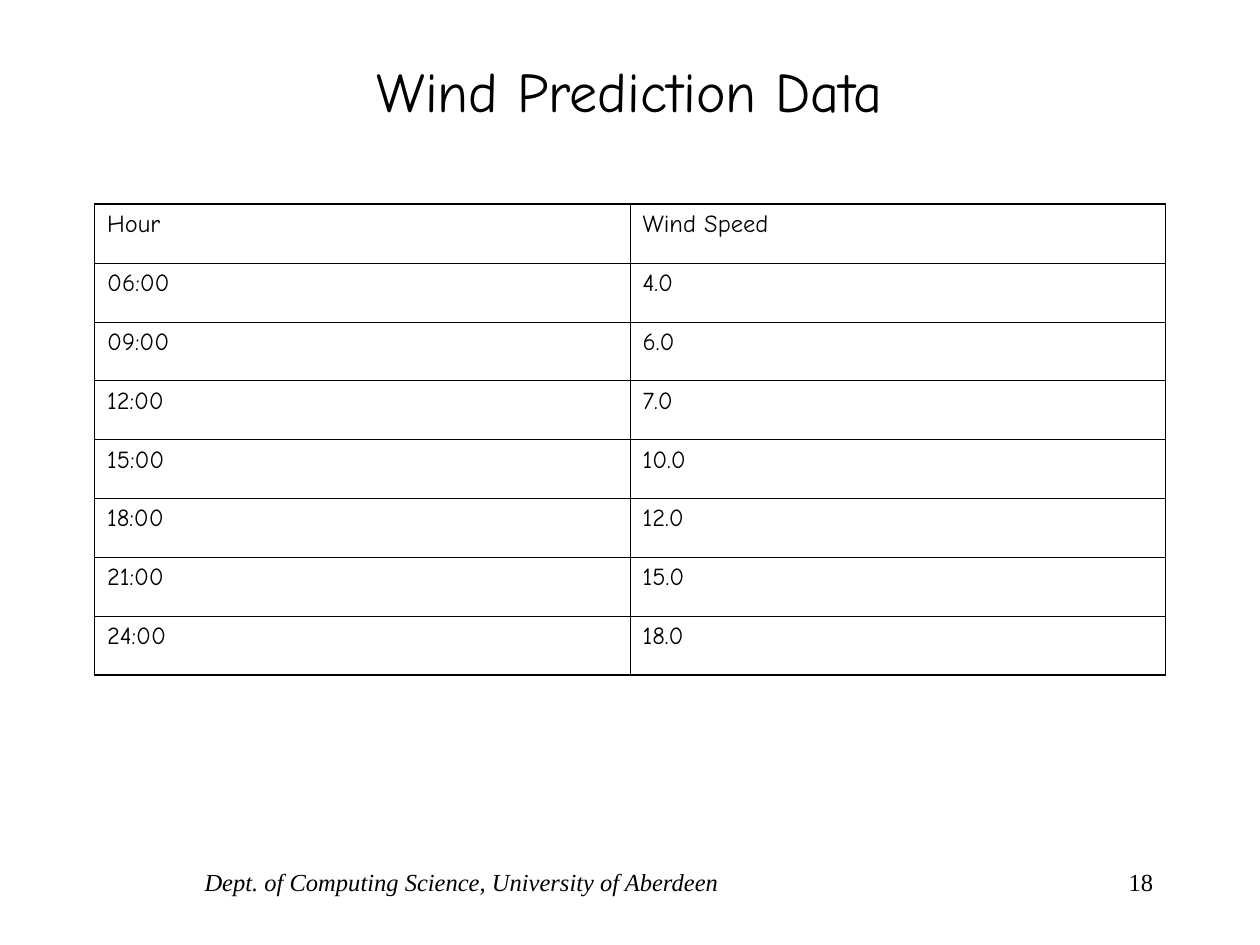
import dataclasses

import lxml.etree
import pptx
import pptx.dml.color
import pptx.enum.text
import pptx.oxml.ns
import pptx.util

Inches = pptx.util.Inches
Pt = pptx.util.Pt
Align = pptx.enum.text.PP_ALIGN
Anchor = pptx.enum.text.MSO_ANCHOR


@dataclasses.dataclass(frozen=True)
class Theme:
    """Colours, fonts and sizes of the slide."""

    ink: str = "000000"
    paper: str = "FFFFFF"
    display_font: str = "Comic Neue"
    footer_font: str = "Times New Roman"
    title_size: float = 32
    text_size: float = 14
    cell_space: float = 3.5
    outer_line: float = 1.08
    inner_line: float = 0.45


THEME = Theme()

WIND_SPEEDS = [
    ("Hour", "Wind Speed"),
    ("06:00", "4.0"),
    ("09:00", "6.0"),
    ("12:00", "7.0"),
    ("15:00", "10.0"),
    ("18:00", "12.0"),
    ("21:00", "15.0"),
    ("24:00", "18.0"),
]


def add_span(para, text, font, size, italic=False):
    """Add one styled run to a paragraph."""
    span = para.add_run()
    span.text = text
    span.font.name = font
    span.font.size = Pt(size)
    span.font.italic = italic
    span.font.color.rgb = pptx.dml.color.RGBColor.from_string(THEME.ink)


def add_text(page, box, text, font, size, align, anchor=Anchor.TOP, italic=False):
    """Place a single line of text in the given box."""
    frame = page.shapes.add_textbox(*map(Inches, box)).text_frame
    frame.word_wrap = True
    frame.vertical_anchor = anchor
    para = frame.paragraphs[0]
    para.alignment = align
    add_span(para, text, font, size, italic)


def add_title(page, box):
    """Place the slide title in the given box."""
    add_text(page, box, "Wind Prediction Data", THEME.display_font,
             THEME.title_size, Align.CENTER, Anchor.MIDDLE)


def add_footer(page, box):
    """Place the department and the page number at the two ends of the box."""
    left, top, width, height = box
    department_width, number_width = 5.83, 2.08
    add_text(page, (left, top, department_width, height),
             "Dept. of Computing Science, University of Aberdeen",
             THEME.footer_font, THEME.text_size, Align.CENTER, italic=True)
    add_text(page, (left + width - number_width, top, number_width, height),
             "18", THEME.footer_font, THEME.text_size, Align.RIGHT)


def set_borders(cell, outer_sides):
    """Draw the four cell borders, heavier on the outer sides."""
    qn = pptx.oxml.ns.qn
    properties = cell._tc.get_or_add_tcPr()
    for index, side in enumerate("LRTB"):
        weight = THEME.outer_line if side in outer_sides else THEME.inner_line
        line = lxml.etree.Element(qn(f"a:ln{side}"), w=str(Pt(weight)))
        fill = lxml.etree.SubElement(line, qn("a:solidFill"))
        lxml.etree.SubElement(fill, qn("a:srgbClr"), val=THEME.ink)
        properties.insert(index, line)


def add_wind_table(page, box, rows):
    """Place the wind speed table with equal rows and columns in the box."""
    row_count, column_count = len(rows), len(rows[0])
    table = page.shapes.add_table(row_count, column_count, *map(Inches, box)).table
    table.first_row = False
    table.horz_banding = False
    for row, values in enumerate(rows):
        for column, value in enumerate(values):
            cell = table.cell(row, column)
            cell.fill.background()
            para = cell.text_frame.paragraphs[0]
            para.space_before = Pt(THEME.cell_space)
            add_span(para, value, THEME.display_font, THEME.text_size)
            edges = {"L": column == 0, "R": column == column_count - 1,
                     "T": row == 0, "B": row == row_count - 1}
            set_borders(cell, [side for side, outer in edges.items() if outer])


def main():
    """Build and save the deck."""
    deck = pptx.Presentation()
    deck.slide_width, deck.slide_height = Inches(10), Inches(7.5)
    page = deck.slides.add_slide(deck.slide_layouts[6])
    page.background.fill.solid()
    page.background.fill.fore_color.rgb = pptx.dml.color.RGBColor.from_string(THEME.paper)
    left, width = 0.75, 8.5
    add_footer(page, (left, 6.83, width, 0.5))
    add_title(page, (left, 0.28, width, 0.87))
    add_wind_table(page, (left, 1.62, width, 3.74), WIND_SPEEDS)
    deck.save("out.pptx")


if __name__ == "__main__":
    main()
